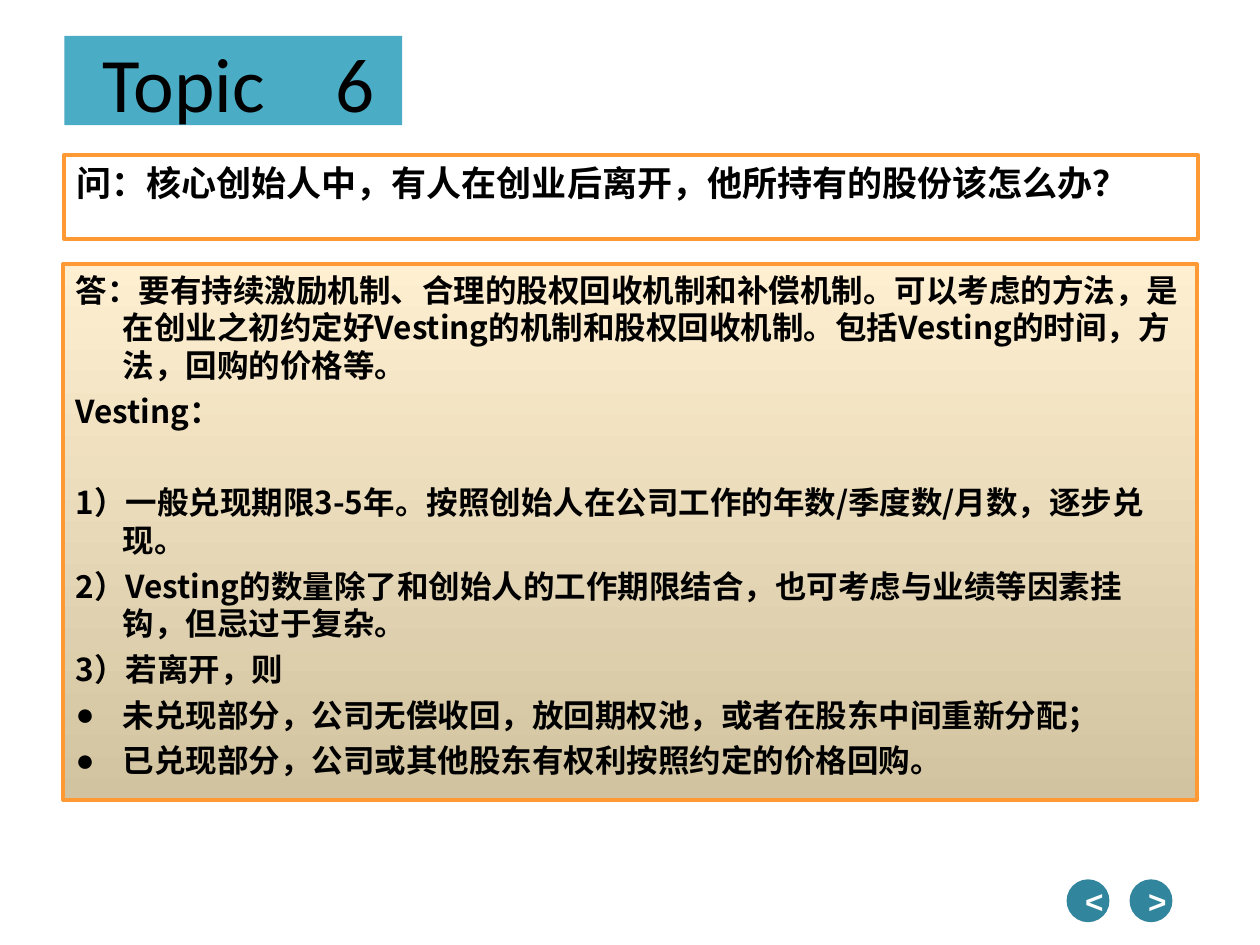
from pptx import Presentation
from pptx.dml.color import RGBColor
from pptx.enum.shapes import MSO_SHAPE
from pptx.enum.text import MSO_ANCHOR, MSO_AUTO_SIZE, PP_ALIGN
from pptx.oxml.ns import qn
from pptx.util import Pt
from lxml import etree

RECTANGLE, OVAL = MSO_SHAPE.RECTANGLE, MSO_SHAPE.OVAL
TOP, MIDDLE = MSO_ANCHOR.TOP, MSO_ANCHOR.MIDDLE
LEFT, CENTER = PP_ALIGN.LEFT, PP_ALIGN.CENTER
NO_AUTOFIT = MSO_AUTO_SIZE.NONE

CHINESE_FONT = "Noto Sans CJK SC"
BLACK, WHITE = "000000", "FFFFFF"
ORANGE, TURQUOISE, TEAL = "FF9933", "4BACC6", "31859C"
HANGING_INDENT = 27

QUESTION = "问：核心创始人中，有人在创业后离开，他所持有的股份该怎么办？"
ANSWER = [
    "答：要有持续激励机制、合理的股权回收机制和补偿机制。可以考虑的方法，是在创业之初约定好Vesting的机制和股权回收机制。包括Vesting的时间，方法，回购的价格等。",
    "Vesting：",
    "1）一般兑现期限3-5年。按照创始人在公司工作的年数/季度数/月数，逐步兑现。",
    "2）Vesting的数量除了和创始人的工作期限结合，也可考虑与业绩等因素挂钩，但忌过于复杂。",
    "3）若离开，则",
    "未兑现部分，公司无偿收回，放回期权池，或者在股东中间重新分配；",
    "已兑现部分，公司或其他股东有权利按照约定的价格回购。",
]
LIST_START = 2       # first numbered paragraph, set apart by a gap
BULLET_START = 5


def color(value):
    return RGBColor.from_string(value)


def place(shape, left, top, width, height):
    shape.left, shape.top = Pt(left), Pt(top)
    shape.width, shape.height = Pt(width), Pt(height)


def add_box(slide, kind, bounds, fill=None, line=None):
    shape = slide.shapes.add_shape(kind, *map(Pt, bounds))
    shape.shadow.inherit = False
    if fill:
        shape.fill.solid()
        shape.fill.fore_color.rgb = color(fill)
    else:
        shape.fill.background()
    set_outline(shape, line)
    return shape


def set_outline(shape, line):
    if line:
        shape.line.color.rgb = color(line)
        shape.line.width = Pt(2.25)
    else:
        shape.line.fill.background()


def format_runs(paragraph, size, font, text_color, bold):
    for run in paragraph.runs:
        run.font.size = Pt(size)
        run.font.name = font
        run.font.bold = bold
        run.font.color.rgb = color(text_color)
        east_asian = etree.SubElement(run.font._element, qn("a:ea"))
        east_asian.set("typeface", CHINESE_FONT)


def set_hanging_indent(paragraph, bullet=None):
    properties = paragraph._p.get_or_add_pPr()
    properties.set("marL", str(Pt(HANGING_INDENT)))
    properties.set("indent", str(-Pt(HANGING_INDENT)))
    properties.set("hangingPunct", "0")
    if bullet:
        etree.SubElement(properties, qn("a:buChar")).set("char", bullet)
    else:
        etree.SubElement(properties, qn("a:buNone"))


def add_title(slide):
    panel = add_box(slide, RECTANGLE, (36.75, 20.5, 193, 51), TURQUOISE)
    slide.shapes._spTree.insert(2, panel._element)  # behind the title
    title = slide.shapes.title
    place(title, 31, 9.5, 209.5, 74)
    text_frame = title.text_frame
    text_frame.text = "Topic\t6"
    text_frame.auto_size = NO_AUTOFIT
    text_frame.vertical_anchor = MIDDLE
    text_frame.margin_left = Pt(27.75)
    paragraph = text_frame.paragraphs[0]
    paragraph.alignment = LEFT
    # Tab stop that sets the topic number apart
    tabs = etree.SubElement(paragraph._p.get_or_add_pPr(), qn("a:tabLst"))
    tab = etree.SubElement(tabs, qn("a:tab"))
    tab.set("pos", str(Pt(133)))
    tab.set("algn", "l")
    format_runs(paragraph, 44, "Calibri", BLACK, False)


def add_question(slide):
    shape = add_box(slide, RECTANGLE, (36.5, 88.5, 648, 48), line=ORANGE)
    text_frame = shape.text_frame
    text_frame.text = QUESTION
    text_frame.word_wrap = True
    text_frame.vertical_anchor = TOP
    paragraph = text_frame.paragraphs[0]
    paragraph.alignment = LEFT
    set_hanging_indent(paragraph)
    format_runs(paragraph, 20, "Calibri", BLACK, True)


def add_answer(slide):
    body = slide.placeholders[1]
    place(body, 36, 151, 648, 306)
    body.fill.gradient()
    body.fill.gradient_angle = 270
    for stop, value in zip(body.fill.gradient_stops, ("FFEFD1", "D1C39F")):
        stop.color.rgb = color(value)
    set_outline(body, ORANGE)
    text_frame = body.text_frame
    text_frame.text = "\n".join(ANSWER)
    text_frame.auto_size = NO_AUTOFIT
    text_frame.vertical_anchor = TOP
    for index, paragraph in enumerate(text_frame.paragraphs):
        set_hanging_indent(paragraph, "●" if index >= BULLET_START else None)
        gap = 30.5 if index == LIST_START else 4.5
        paragraph.space_before = Pt(gap if index else 0)
        format_runs(paragraph, 18, CHINESE_FONT, BLACK, True)


def add_button(slide, left, symbol):
    button = add_box(slide, OVAL, (left, 502.5, 24.5, 24.5), TEAL)
    text_frame = button.text_frame
    text_frame.text = symbol
    text_frame.word_wrap = True
    text_frame.vertical_anchor = MIDDLE
    paragraph = text_frame.paragraphs[0]
    paragraph.alignment = CENTER
    format_runs(paragraph, 18, "Arial", WHITE, True)


def main():
    presentation = Presentation()
    presentation.slide_width, presentation.slide_height = Pt(720), Pt(540)
    slide = presentation.slides.add_slide(presentation.slide_layouts[1])
    add_title(slide)
    add_question(slide)
    add_answer(slide)
    # Navigation buttons
    for left, symbol in ((609.5, "<"), (645.5, ">")):
        add_button(slide, left, symbol)
    presentation.save("out.pptx")


if __name__ == "__main__":
    main()
